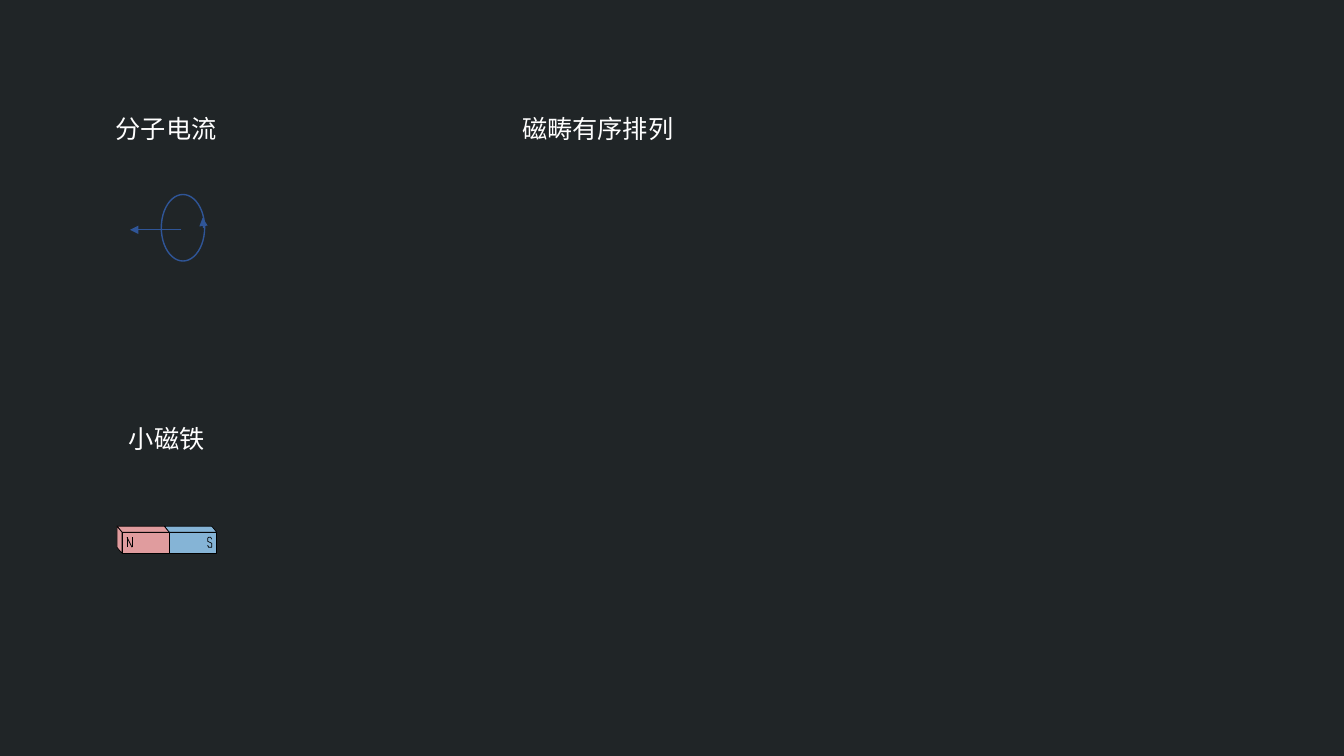
from lxml.etree import SubElement
from pptx import Presentation
from pptx.dml.color import RGBColor
from pptx.enum.dml import MSO_LINE
from pptx.enum.shapes import MSO_CONNECTOR, MSO_SHAPE
from pptx.enum.text import MSO_ANCHOR, MSO_AUTO_SIZE, PP_ALIGN
from pptx.oxml.ns import qn
from pptx.util import Inches, Pt

BACKGROUND, WHITE, BLACK = "202527", "FFFFFF", "000000"
CURRENT_BLUE, NORTH_RED, SOUTH_BLUE = "2F5597", "E09C9E", "85B4D6"


def color(value):
    return RGBColor.from_string(value)


class Diagram:
    font = "Noto Sans CJK SC"
    text_size = 18

    def __init__(self, page):
        self.page = page
        self.target = page.shapes
        fill = page.background.fill
        fill.solid()
        fill.fore_color.rgb = color(BACKGROUND)

    def start_group(self):
        self.target = self.page.shapes.add_group_shape().shapes

    def outline(self, shape, line_color, width):
        shape.line.color.rgb = color(line_color)
        shape.line.width = Pt(width)

    def finish(self, shape, fill, line_color, width):
        shape.shadow.inherit = False
        if fill:
            shape.fill.solid()
            shape.fill.fore_color.rgb = color(fill)
        else:
            shape.fill.background()
        self.outline(shape, line_color, width)

    def shape(self, kind, left, top, width, height, fill=None, line_color=BLACK, line_width=0.5):
        shape = self.target.add_shape(kind, Inches(left), Inches(top), Inches(width), Inches(height))
        self.finish(shape, fill, line_color, line_width)

    def outline_shape(self, points, fill=None, close=True):
        points = [(Inches(x), Inches(y)) for x, y in points]
        builder = self.target.build_freeform(*points[0])
        builder.add_line_segments(points[1:], close=close)
        self.finish(builder.convert_to_shape(), fill, BLACK, 0.5)

    def line(self, start, end, line_color=BLACK, width=0.5, dash=None, arrow=False):
        ends = [Inches(value) for value in (*start, *end)]
        connector = self.target.add_connector(MSO_CONNECTOR.STRAIGHT, *ends)
        self.outline(connector, line_color, width)
        if dash:
            connector.line.dash_style = dash
        if arrow:
            SubElement(connector.line._get_or_add_ln(), qn("a:tailEnd"), type="triangle")
        SubElement(connector._element.spPr, qn("a:effectLst"))

    def label(self, text, left, top, width):
        box = self.page.shapes.add_textbox(Inches(left), Inches(top), Inches(width), Inches(0.4))
        frame_format = {
            "word_wrap": False,
            "auto_size": MSO_AUTO_SIZE.SHAPE_TO_FIT_TEXT,
            "vertical_anchor": MSO_ANCHOR.TOP,
        }
        for name, value in frame_format.items():
            setattr(box.text_frame, name, value)
        para = box.text_frame.paragraphs[0]
        para.alignment = PP_ALIGN.LEFT
        span = para.add_run()
        span.text = text
        for name, value in {"name": self.font, "size": Pt(self.text_size)}.items():
            setattr(span.font, name, value)
        span.font.color.rgb = color(WHITE)
        SubElement(span._r.get_or_add_rPr(), qn("a:ea"), typeface=self.font)


def main():
    deck = Presentation()
    deck.slide_width, deck.slide_height = Inches(13.33), Inches(7.5)
    diagram = Diagram(deck.slides.add_slide(deck.slide_layouts[6]))

    # Molecular current loop with its direction and magnetic moment
    diagram.start_group()
    diagram.shape(MSO_SHAPE.OVAL, 1.6, 1.93, 0.43, 0.66, line_color=CURRENT_BLUE, line_width=1)
    diagram.line((2.02, 2.26), (2.01, 2.16), CURRENT_BLUE, 1, MSO_LINE.DASH, arrow=True)
    diagram.line((1.8, 2.28), (1.29, 2.28), CURRENT_BLUE, arrow=True)

    # Bar magnet: front faces, top faces and left end
    left, middle, right = 1.21, 1.68, 2.15
    back, top, bottom = 5.22, 5.28, 5.49
    depth = 0.05
    diagram.start_group()
    for start, end, fill in ((left, middle, NORTH_RED), (middle, right, SOUTH_BLUE)):
        diagram.shape(MSO_SHAPE.RECTANGLE, start, top, end - start, bottom - top, fill)
        diagram.outline_shape(
            [(start - depth, back), (end - depth, back), (end, top), (start, top)], fill)
    diagram.outline_shape(
        [(left - depth, back), (left, top), (left, bottom), (left - depth, bottom - 0.06)], NORTH_RED)

    # Pole letters drawn as strokes
    letter_top, letter_bottom = 5.33, 5.43
    for start, end in ((1.26, 1.26), (1.26, 1.31), (1.31, 1.31)):
        diagram.line((start, letter_top), (end, letter_bottom))
    diagram.outline_shape(
        [(2.1, 5.35), (2.09, 5.33), (2.07, 5.33), (2.06, 5.34), (2.06, 5.37), (2.08, 5.38),
         (2.1, 5.39), (2.1, 5.41), (2.1, 5.43), (2.08, 5.43), (2.07, 5.43), (2.06, 5.41)],
        close=False)

    # Labels
    for text, x, y, width in (
        ("分子电流", 1.05, 1.08, 1.21),
        ("小磁铁", 1.18, 4.15, 0.96),
        ("磁畴有序排列", 5.08, 1.08, 1.72),
    ):
        diagram.label(text, x, y, width)

    deck.save("out.pptx")


if __name__ == "__main__":
    main()
